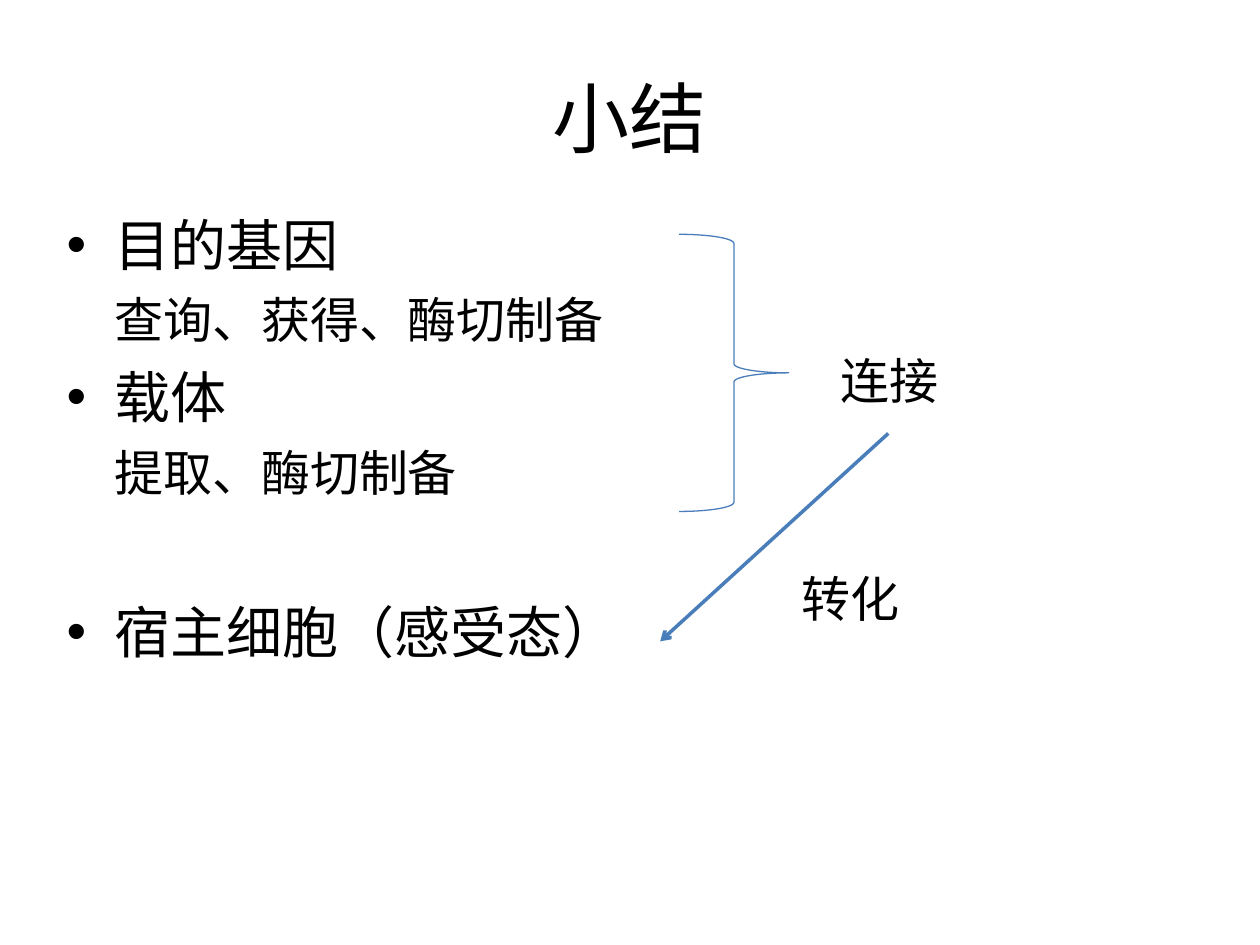
from dataclasses import dataclass

from pptx import Presentation
from pptx.dml.color import RGBColor
from pptx.enum.shapes import MSO_CONNECTOR, MSO_SHAPE
from pptx.enum.text import MSO_ANCHOR, PP_ALIGN
from pptx.oxml.ns import qn
from pptx.util import Inches, Pt
from lxml.etree import SubElement


@dataclass(frozen=True)
class Theme:
    text: RGBColor = RGBColor(0x00, 0x00, 0x00)
    line: RGBColor = RGBColor(0x4A, 0x7E, 0xBB)
    body_font: str = "Calibri"
    label_font: str = "Arial"
    title_size: int = 44
    topic_size: int = 32
    detail_size: int = 28


THEME = Theme()

# Text, whether it is a bulleted topic, space before in points
OUTLINE = [
    ("目的基因", True, 0),
    ("查询、获得、酶切制备", False, 7),
    ("载体", True, 8),
    ("提取、酶切制备", False, 7),
    ("宿主细胞（感受态）", True, 55),
]


def add_text_frame(slide, left, top, width, height):
    box = slide.shapes.add_textbox(Inches(left), Inches(top), Inches(width), Inches(height))
    box.text_frame.word_wrap = True
    return box.text_frame


def set_font(paragraph, name, size):
    paragraph.font.name = name
    paragraph.font.size = Pt(size)
    paragraph.font.color.rgb = THEME.text


def add_title(slide, text):
    frame = add_text_frame(slide, 0.5, 0.3, 9, 1.25)
    frame.vertical_anchor = MSO_ANCHOR.MIDDLE
    paragraph = frame.paragraphs[0]
    paragraph.text = text
    paragraph.alignment = PP_ALIGN.CENTER
    set_font(paragraph, THEME.body_font, THEME.title_size)


def set_indent(paragraph, bulleted):
    properties = paragraph._p.get_or_add_pPr()
    indent = Inches(0.38)
    properties.set("marL", str(indent))
    properties.set("indent", str(-indent if bulleted else 0))
    if bulleted:
        SubElement(properties, qn("a:buFont"), typeface="Arial")
        SubElement(properties, qn("a:buChar"), char="•")
    else:
        SubElement(properties, qn("a:buNone"))


def add_outline(slide, entries):
    frame = add_text_frame(slide, 0.43, 1.62, 9, 4.95)
    for index, (text, bulleted, space_before) in enumerate(entries):
        paragraph = frame.add_paragraph() if index else frame.paragraphs[0]
        paragraph.text = text
        set_indent(paragraph, bulleted)
        paragraph.space_before = Pt(space_before)
        size = THEME.topic_size if bulleted else THEME.detail_size
        set_font(paragraph, THEME.body_font, size)


def add_label(slide, text, left, top, width):
    paragraph = add_text_frame(slide, left, top, width, 0.57).paragraphs[0]
    paragraph.text = text
    set_font(paragraph, THEME.label_font, THEME.detail_size)


def add_brace(slide, left, top, width, height):
    brace = slide.shapes.add_shape(
        MSO_SHAPE.RIGHT_BRACE, Inches(left), Inches(top), Inches(width), Inches(height)
    )
    brace.shadow.inherit = False
    brace.fill.background()
    brace.line.color.rgb = THEME.line
    brace.line.width = Pt(0.75)


def add_arrow(slide, start, end):
    arrow = slide.shapes.add_connector(
        MSO_CONNECTOR.STRAIGHT, *(Inches(value) for value in (*start, *end))
    )
    arrow.line.color.rgb = THEME.line
    arrow.line.width = Pt(2)
    SubElement(arrow.line._get_or_add_ln(), qn("a:tailEnd"), type="arrow")
    SubElement(arrow._element.spPr, qn("a:effectLst"))


def main():
    presentation = Presentation()
    presentation.slide_width = Inches(10)
    presentation.slide_height = Inches(7.5)
    slide = presentation.slides.add_slide(presentation.slide_layouts[6])

    # Title and outline
    add_title(slide, "小结")
    add_outline(slide, OUTLINE)

    # Gene and vector are ligated, then transformed into the host cell
    add_brace(slide, 5.39, 1.86, 0.87, 2.2)
    add_label(slide, "连接", 6.57, 2.73, 1.34)
    add_arrow(slide, (7.05, 3.44), (5.24, 5.09))
    add_label(slide, "转化", 6.26, 4.46, 1.18)

    presentation.save("out.pptx")


if __name__ == "__main__":
    main()
